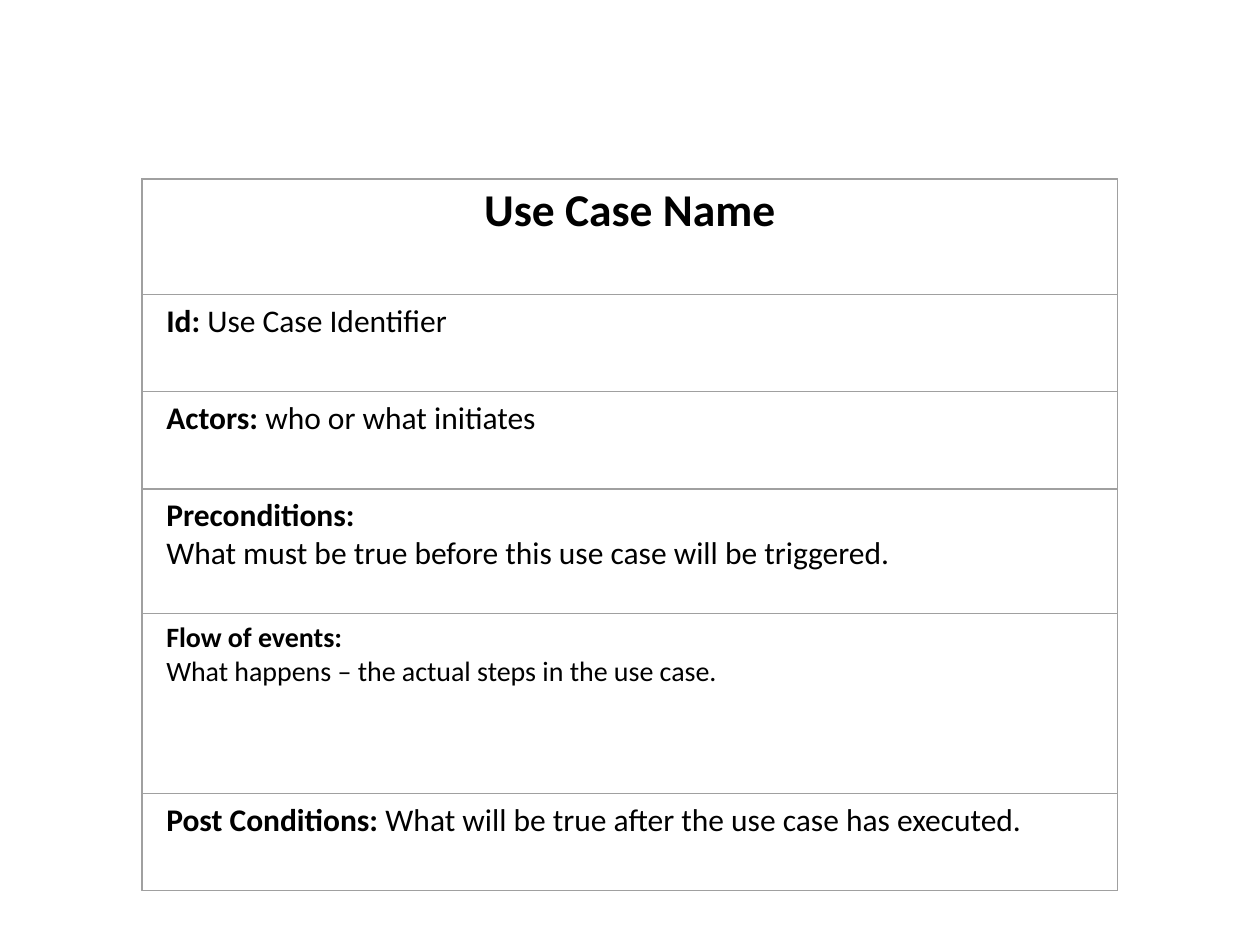
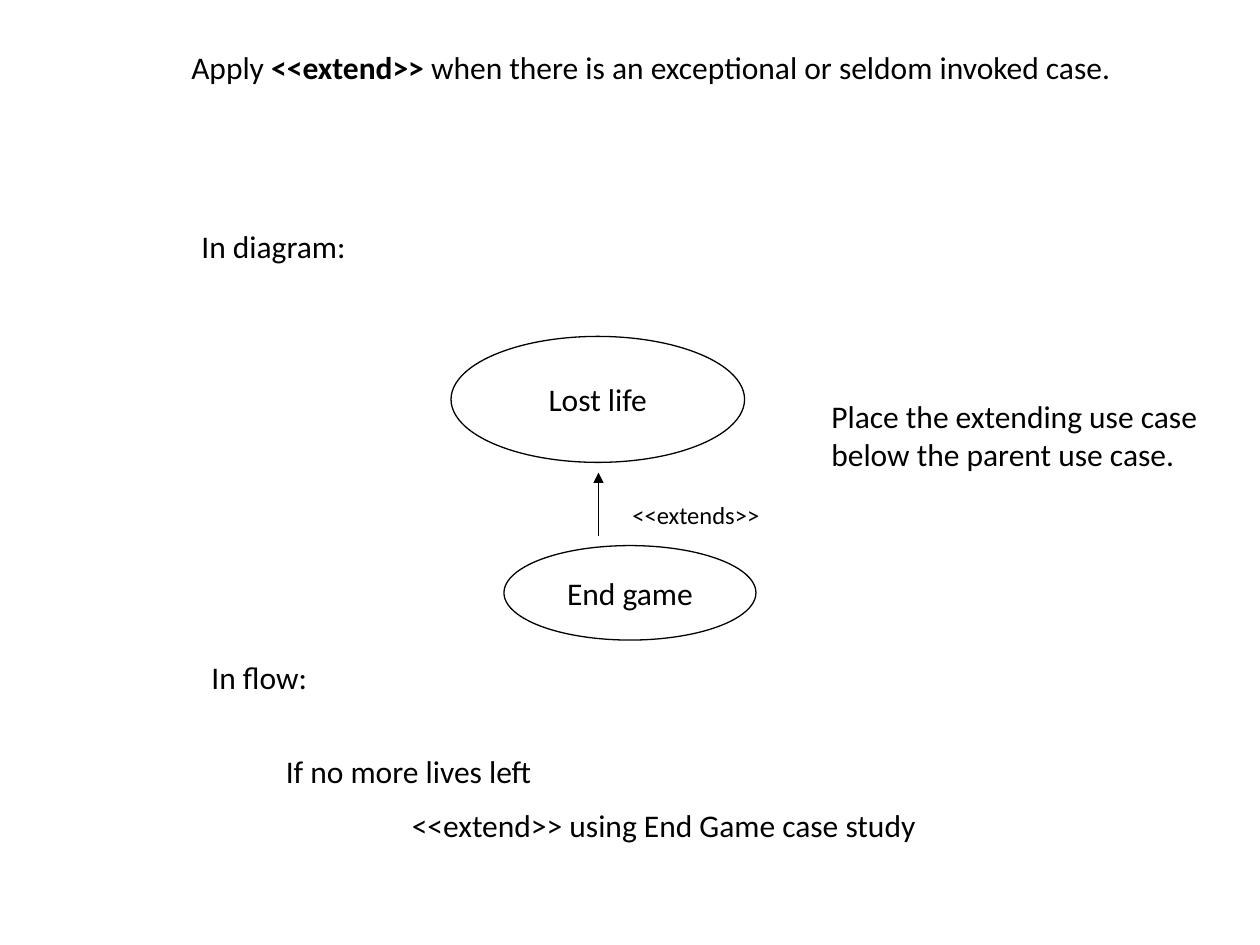
from lxml import etree
from pptx import Presentation, util as u
from pptx.dml.color import RGBColor
from pptx.enum import shapes, text
from pptx.oxml import ns

FONT = "Calibri"
BLACK, WHITE, GREY = "000000", "FFFFFF", "A0A0A0"
BODY_SIZE = 18


def color(value):
    return RGBColor.from_string(value)


def write(frame, paragraphs, size=BODY_SIZE, align=text.PP_ALIGN.LEFT, gap=0):
    """Fill a text frame; each paragraph is a list of (text, bold) runs."""
    for index, runs in enumerate(paragraphs):
        paragraph = frame.add_paragraph() if index else frame.paragraphs[0]
        paragraph.alignment = align
        if index and gap:
            paragraph.space_before = u.Pt(gap)
        paragraph.font.name = FONT
        paragraph.font.size = u.Pt(size)
        paragraph.font.color.rgb = color(BLACK)
        for content, bold in runs:
            run = paragraph.add_run()
            run.text = content
            run.font.bold = bold


presentation = Presentation()
presentation.slide_width = u.Inches(10)
presentation.slide_height = u.Inches(7.5)
blank = presentation.slide_layouts[6]

# Slide 1: use case template
slide = presentation.slides.add_slide(blank)
# Row height, text size, paragraphs
template_rows = [
    (0.92, 26, [[("Use Case Name", True)]]),
    (0.77, 18, [[("Id:", True), (" Use Case Identifier", False)]]),
    (0.77, 18, [[("Actors: ", True), ("who or what initiates", False)]]),
    (0.99, 18, [[("Preconditions:", True)],
                [("What must be true before this use case will be triggered.", False)]]),
    (1.43, 16, [[("Flow of events:", True)],
                [("What happens – the actual steps in the use case.", False)]]),
    (0.77, 18, [[("Post Conditions:", True),
                 (" What will be true after the use case has executed.", False)]]),
]
form_top = row_top = 1.42
for height, size, paragraphs in template_rows:
    is_title = row_top == form_top
    row = slide.shapes.add_shape(
        shapes.MSO_SHAPE.RECTANGLE, u.Inches(1.13), u.Inches(row_top),
        u.Inches(7.74), u.Inches(height))
    row.shadow.inherit = False
    row.fill.background()
    row.line.color.rgb = color(GREY)
    row.line.width = u.Pt(0)
    frame = row.text_frame
    frame.word_wrap = True
    frame.vertical_anchor = text.MSO_ANCHOR.TOP
    frame.margin_left = frame.margin_right = u.Inches(0.19)
    frame.margin_top = u.Inches(0.02 if is_title else 0.05)
    align = text.PP_ALIGN.CENTER if is_title else text.PP_ALIGN.LEFT
    write(frame, paragraphs, size, align)
    row_top += height

form_border = slide.shapes.add_shape(
    shapes.MSO_SHAPE.RECTANGLE, u.Inches(1.12), u.Inches(form_top),
    u.Inches(7.75), u.Inches(row_top - form_top))
form_border.shadow.inherit = False
form_border.fill.background()
form_border.line.color.rgb = color(GREY)
form_border.line.width = u.Pt(0.5)

# Slide 2: extend relationship
slide = presentation.slides.add_slide(blank)
use_cases = [
    ("Lost life", 3.58, 2.67, 2.33, 1),
    ("End game", 4, 4.33, 2, 0.75),
]
for name, *box in use_cases:
    ellipse = slide.shapes.add_shape(shapes.MSO_SHAPE.OVAL, *map(u.Inches, box))
    ellipse.shadow.inherit = False
    ellipse.fill.solid()
    ellipse.fill.fore_color.rgb = color(WHITE)
    ellipse.line.color.rgb = color(BLACK)
    ellipse.line.width = u.Pt(0.75)
    ellipse.text_frame.word_wrap = False
    ellipse.text_frame.vertical_anchor = text.MSO_ANCHOR.MIDDLE
    write(ellipse.text_frame, [[(name, False)]], align=text.PP_ALIGN.CENTER)

arrow = slide.shapes.add_connector(
    shapes.MSO_CONNECTOR.STRAIGHT,
    u.Inches(4.75), u.Inches(4.25), u.Inches(4.75), u.Inches(3.75))
arrow.line.color.rgb = color(BLACK)
arrow.line.width = u.Pt(0.75)
etree.SubElement(arrow.line._get_or_add_ln(), ns.qn("a:tailEnd"), type="triangle")
etree.SubElement(arrow._element.spPr, ns.qn("a:effectLst"))

# Left, top, width, height, text size, paragraphs
notes = [
    (1.42, 0.33, 7.83, 0.9, BODY_SIZE,
     [[("Apply ", False), ("<<extend>> ", True),
       ("when there is an exceptional or seldom invoked case.", False)]]),
    (6.5, 3.1, 3.17, 1.3, BODY_SIZE,
     [[("Place the extending use case below the parent use case.", False)]]),
    (4.92, 3.92, 1.58, 0.33, 14, [[("<<extends>>", False)]]),
    (1.5, 1.75, 2.08, 0.5, BODY_SIZE, [[("In diagram:", False)]]),
    (1.58, 5.17, 1.33, 0.5, BODY_SIZE, [[("In flow:", False)]]),
    (2.17, 5.92, 7.67, 1.1, BODY_SIZE,
     [[("If no more lives left", False)],
      [("<<extend>> using End Game case study", False)]]),
]
for *box, size, paragraphs in notes:
    frame = slide.shapes.add_textbox(*map(u.Inches, box)).text_frame
    frame.word_wrap = True
    write(frame, paragraphs, size, gap=size / 2)

# The last note is the flow; its second step is indented
extend_step = frame.paragraphs[1]
extend_step._p.get_or_add_pPr().set("marL", str(u.Inches(1)))

presentation.save("out.pptx")
